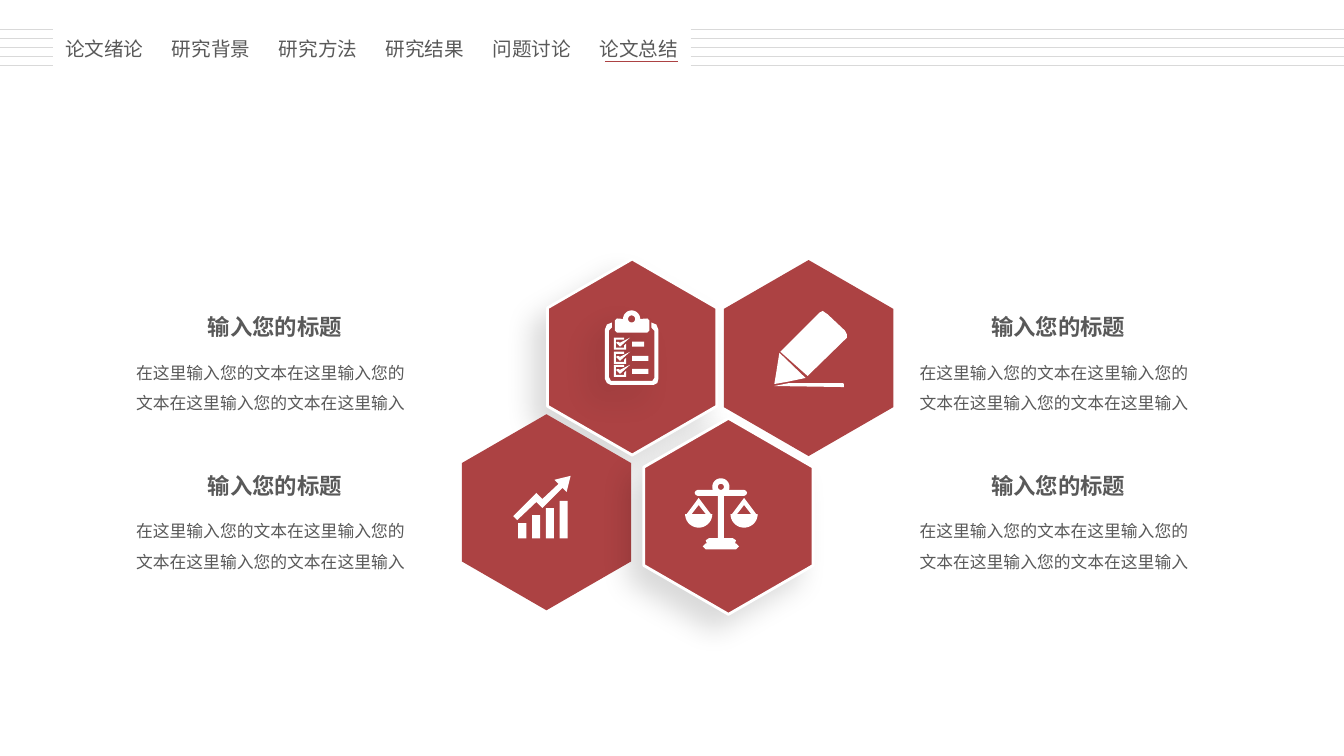
"""Build a summary slide with four icon hexagons, captions and a chapter bar."""
import math
from typing import NamedTuple

from lxml import etree
from pptx import Presentation
from pptx import util as u
from pptx.dml.color import RGBColor
from pptx.enum import shapes, text
from pptx.oxml.ns import qn

Point = tuple[float, float]
Path = list[Point]

RED = RGBColor(0xAC, 0x42, 0x43)
WHITE = RGBColor(0xFF, 0xFF, 0xFF)
GREY = RGBColor(0x59, 0x59, 0x59)
PALE = RGBColor(0xD9, 0xD9, 0xD9)
FONT = "Noto Sans CJK SC"
COLS, ROWS = 1333, 750
CELL = u.Inches(0.01)
TITLE = "输入您的标题"
BODY = "在这里输入您的文本" * 3 + "在这里输入"
TABS = ["论文绪论", "研究背景", "研究方法", "研究结果", "问题讨论", "论文总结"]


class Hex(NamedTuple):
    mid: float
    top: float
    icon: list[Path]
    edge: bool = False
    glow: bool = False


class Style(NamedTuple):
    size: int
    bold: bool = False
    space: float = 1.0
    align: text.PP_ALIGN = text.PP_ALIGN.CENTER
    pad: Point = (10, 5)
    wrap: bool = True


HEAD = Style(16, True, 1.3, pad=(7, 4))
NOTE = Style(12, space=1.5, align=text.PP_ALIGN.LEFT, pad=(0, 0))
TAB = Style(14, wrap=False)


def emu(cells: float) -> u.Emu:
    return u.Emu(round(cells * CELL))


def box(x: float, y: float, wide: float, high: float) -> Path:
    return [(x, y), (x + wide, y), (x + wide, y + high), (x, y + high)]


def arc(x: float, y: float, rad: float, start: int = 0, end: int = 350) -> Path:
    return [(x + rad * math.cos(math.radians(a)), y + rad * math.sin(math.radians(a)))
            for a in range(start, end + 1, 10)]


def flip(half: Path, mid: float) -> Path:
    return half + [(2 * mid - x, y) for x, y in reversed(half)]


def check(y: float, wide: float) -> list[Path]:
    frame = [(619, y), (609, y), (609, y + 12), (621, y + 12), (621, y + 6), (619, y + 8),
             (619, y + 10), (611, y + 10), (611, y + 2), (619, y + 2)]
    tick = [(611, y + 5), (613, y + 4), (615, y + 5), (625, y), (615, y + 9)]
    return [frame, tick, box(627, y + 4, wide, 5)]


def pan(x: float) -> list[Path]:
    bowl = arc(x, 510, 13.5, 0, 180) + [(x - 12, 510), (x, 494), (x + 12, 510)]
    return [bowl, [(x - 7, 510), (x, 501), (x + 7, 510)]]


def board() -> list[Path]:
    frame = [(607, 320), (602, 322), (600, 327), (600, 376), (602, 380), (606, 382),
             (648, 382), (652, 380), (653, 376), (653, 327), (651, 322), (646, 320),
             (646, 325), (649, 328), (649, 375), (647, 378), (606, 378), (604, 374),
             (604, 328), (607, 325)]
    clip = arc(626.5, 316.5, 8.5, 180, 360) + [
        (642, 316), (644, 318), (644, 328), (642, 330), (612, 330), (610, 328),
        (610, 318), (612, 316)]
    return [frame, clip, arc(626.5, 316.5, 3.5), *check(335, 12), *check(349, 16),
            *check(362, 16)]


def trend() -> list[Path]:
    arrow = [(562, 488), (566, 472), (550, 476), (554, 480), (538, 495), (532, 489),
             (509, 512), (513, 516), (532, 498), (538, 504), (558, 484)]
    bars = [box(514 + 13.7 * i, 534 - high, 8, high)
            for i, high in enumerate((15, 23, 30, 37))]
    return [arrow, *bars]


def pen() -> list[Path]:
    body = [(774, 349), (813, 310), (816, 308.5), (821, 312), (838, 328), (840, 332),
            (840, 335), (801, 373)]
    tip = [(773, 350), (799, 375), (780, 379), (768, 381), (770, 369)]
    line = [(783, 380), (836, 380), (837, 381), (837, 384), (768, 383)]
    return [body, tip, line]


def scales() -> list[Path]:
    half = arc(715, 483, 8.5, 270, 380) + [
        (738, 486), (740, 487), (741, 489), (740, 491), (738, 492), (718, 492), (718, 534),
        (727, 534), (730, 536), (729, 539), (730, 539), (733, 542), (730, 545)]
    return [flip(half, 715), arc(715, 483, 3), *pan(693), *pan(738)]


def trace(slide, paths: list[Path], fill: RGBColor, edge: bool, glow: bool) -> None:
    first, *rest = [[(emu(x), emu(y)) for x, y in path] for path in paths]
    form = slide.shapes.build_freeform(*first[0], scale=1.0)
    form.add_line_segments(first[1:])
    for path in rest:
        form.move_to(*path[0])
        form.add_line_segments(path[1:])
    shape = form.convert_to_shape()
    shape.fill.solid()
    shape.fill.fore_color.rgb = fill
    if edge:
        shape.line.color.rgb = WHITE
        shape.line.width = u.Pt(2)
    else:
        shape.line.fill.background()
    shape.shadow.inherit = False
    if glow:
        group = shape._element.spPr.find(qn("a:effectLst"))
        cast = etree.SubElement(group, qn("a:outerShdw"), blurRad=str(u.Pt(20)),
                                dist=str(u.Pt(15)), dir=str(135 * 60000),
                                algn="ctr", rotWithShape="0")
        tone = etree.SubElement(cast, qn("a:srgbClr"), val="000000")
        etree.SubElement(tone, qn("a:alpha"), val="15000")


def tile(slide, item: Hex) -> None:
    half = [(item.mid, item.top), (item.mid + 84, item.top + 48.5),
            (item.mid + 84, item.top + 146), (item.mid, item.top + 194.5)]
    trace(slide, [flip(half, item.mid)], RED, item.edge, item.glow)
    trace(slide, item.icon, WHITE, False, item.glow and item.top < 300)


def write(slide, words: str, x: float, y: float, wide: float, high: float,
          style: Style) -> None:
    frame = slide.shapes.add_textbox(emu(x), emu(y), emu(wide), emu(high)).text_frame
    frame.word_wrap = style.wrap
    frame.auto_size = text.MSO_AUTO_SIZE.SHAPE_TO_FIT_TEXT
    frame.margin_left = frame.margin_right = emu(style.pad[0])
    frame.margin_top = frame.margin_bottom = emu(style.pad[1])
    para = frame.paragraphs[0]
    para.text = words
    para.alignment = style.align
    para.line_spacing = style.space
    font = para.font
    font.name, font.size, font.bold = FONT, u.Pt(style.size), style.bold
    font.color.rgb = GREY
    etree.SubElement(para._p.pPr.find(qn("a:defRPr")), qn("a:ea"), typeface=FONT)


def rule(slide, left: float, right: float, y: float, color: RGBColor) -> None:
    line = slide.shapes.add_connector(shapes.MSO_CONNECTOR.STRAIGHT,
                                      emu(left), emu(y), emu(right), emu(y))
    line.line.color.rgb = color
    line.line.width = u.Pt(0.5)
    etree.SubElement(line._element.spPr, qn("a:effectLst"))


def main() -> None:
    deck = Presentation()
    deck.slide_width, deck.slide_height = emu(COLS), emu(ROWS)
    slide = deck.slides.add_slide(deck.slide_layouts[6])
    for item in (Hex(627, 257, board(), True, True), Hex(542, 411, trend()),
                 Hex(802, 258, pen()), Hex(722.5, 415, scales(), True, True)):
        tile(slide, item)
    for x in (135, 912):
        for y in (299, 456.5):
            write(slide, TITLE, x + 43, y, 189, 43, HEAD)
            write(slide, BODY, x, y + 50.5, 275, 61, NOTE)
    for row in range(5):
        for left, right in ((0, 53), (685, COLS)):
            rule(slide, left, right, 29 + 9 * row, PALE)
    for i, name in enumerate(TABS):
        write(slide, name, 54 + 106 * i, 32, 99, 34, TAB)
    rule(slide, 600, 672, 61, RED)
    deck.save("out.pptx")


if __name__ == "__main__":
    main()
